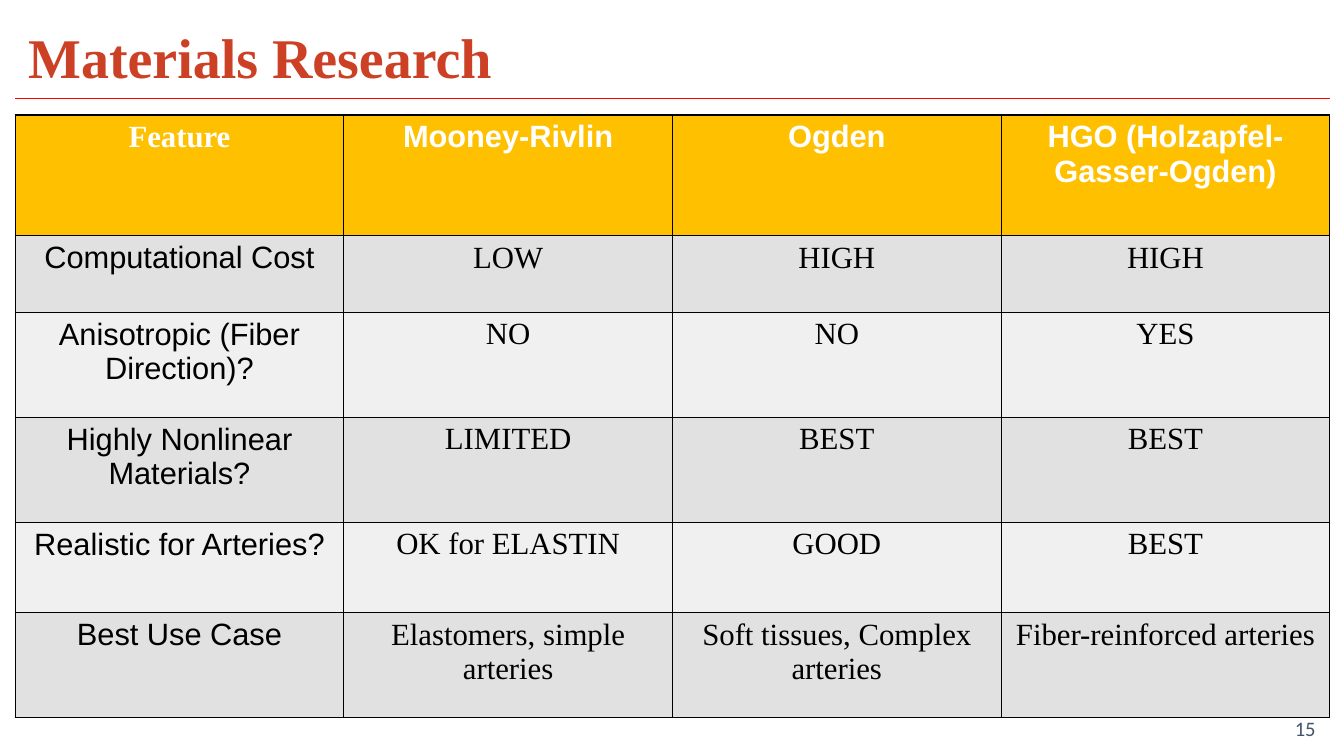
"""Build a slide comparing hyperelastic material models in a table."""
import lxml.etree
import pptx
import pptx.dml.color
import pptx.enum.text
import pptx.oxml.ns
import pptx.util
from dataclasses import dataclass
from pptx.util import Inches

TITLE = "Materials Research"
PAGE_NUMBER = "15"
ROWS = [
    ("Feature", "Mooney-Rivlin", "Ogden", "HGO (Holzapfel-Gasser-Ogden)"),
    ("Computational Cost", "LOW", "HIGH", "HIGH"),
    ("Anisotropic (Fiber Direction)?", "NO", "NO", "YES"),
    ("Highly Nonlinear Materials?", "LIMITED", "BEST", "BEST"),
    ("Realistic for Arteries?", "OK for ELASTIN", "GOOD", "BEST"),
    ("Best Use Case", "Elastomers, simple arteries", "Soft tissues, Complex arteries",
     "Fiber-reinforced arteries"),
]
ROW_HEIGHTS = [1.2, 0.76, 1.04, 1.04, 0.9, 1.04]
COLUMN_WIDTH = 3.26
LEFT, RIGHT = 0.15, 13.19
ALIGN = pptx.enum.text.PP_ALIGN


@dataclass(frozen=True)
class Theme:
    serif: str = "Times New Roman"
    sans: str = "Arial"
    number_font: str = "Calibri"
    title: str = "CC4125"
    rule: str = "FF0000"
    number: str = "44546A"
    header: str = "FFC000"
    header_text: str = "FFFFFF"
    body_text: str = "000000"
    border: str = "000000"
    bands: tuple = ("F0F0F0", "E1E1E1")
    title_size: float = 40
    cell_size: float = 22
    number_size: float = 14.7
    rule_width: float = 0.75
    border_width: float = 1


THEME = Theme()


def rgb(code):
    return pptx.dml.color.RGBColor.from_string(code)


def write(frame, text, font, size, color, bold=False, align=ALIGN.LEFT):
    frame.text = text
    para = frame.paragraphs[0]
    para.alignment = align
    style = para.runs[0].font
    style.name, style.size, style.bold = font, pptx.util.Pt(size), bold
    style.color.rgb = rgb(color)


def add_text(page, bounds, *content, **options):
    box = page.shapes.add_textbox(*map(Inches, bounds))
    frame = box.text_frame
    frame.word_wrap = True
    frame.margin_left = frame.margin_right = Inches(0.13)
    frame.margin_top = frame.margin_bottom = Inches(0.13)
    write(frame, *content, **options)


def add_rule(page):
    line = page.shapes.add_connector(1, Inches(LEFT), Inches(0.98), Inches(RIGHT), Inches(0.98))
    line.line.color.rgb = rgb(THEME.rule)
    line.line.width = pptx.util.Pt(THEME.rule_width)
    lxml.etree.SubElement(line._element.spPr, pptx.oxml.ns.qn("a:effectLst"))


def add_borders(cell):
    properties = cell._tc.get_or_add_tcPr()
    for position, side in enumerate(("lnL", "lnR", "lnT", "lnB")):
        border = lxml.etree.Element(pptx.oxml.ns.qn("a:" + side),
                                    w=str(pptx.util.Pt(THEME.border_width)))
        fill = lxml.etree.SubElement(border, pptx.oxml.ns.qn("a:solidFill"))
        lxml.etree.SubElement(fill, pptx.oxml.ns.qn("a:srgbClr"), val=THEME.border)
        properties.insert(position, border)


def add_comparison(page):
    columns = len(ROWS[0])
    frame = page.shapes.add_table(len(ROWS), columns, Inches(LEFT), Inches(1.14),
                                  Inches(COLUMN_WIDTH * columns), Inches(sum(ROW_HEIGHTS)))
    table = frame.table
    for column in table.columns:
        column.width = Inches(COLUMN_WIDTH)
    for row, height in enumerate(ROW_HEIGHTS):
        table.rows[row].height = Inches(height)
        header = row == 0
        for column, text in enumerate(ROWS[row]):
            cell = table.cell(row, column)
            cell.fill.solid()
            cell.fill.fore_color.rgb = rgb(THEME.header if header else THEME.bands[row % 2])
            font = THEME.sans if header != (column == 0) else THEME.serif
            color = THEME.header_text if header else THEME.body_text
            write(cell.text_frame, text, font, THEME.cell_size, color, header, ALIGN.CENTER)
            add_borders(cell)


def main():
    deck = pptx.Presentation()
    deck.slide_width, deck.slide_height = Inches(13.33), Inches(7.5)
    page = deck.slides.add_slide(deck.slide_layouts[6])
    add_rule(page)
    add_text(page, (LEFT, 0.09, 5.82, 0.94), TITLE, THEME.serif, THEME.title_size,
             THEME.title, bold=True)
    add_text(page, (11.85, 6.98, 1.33, 0.52), PAGE_NUMBER, THEME.number_font,
             THEME.number_size, THEME.number, align=ALIGN.RIGHT)
    add_comparison(page)
    deck.save("out.pptx")


if __name__ == "__main__":
    main()
